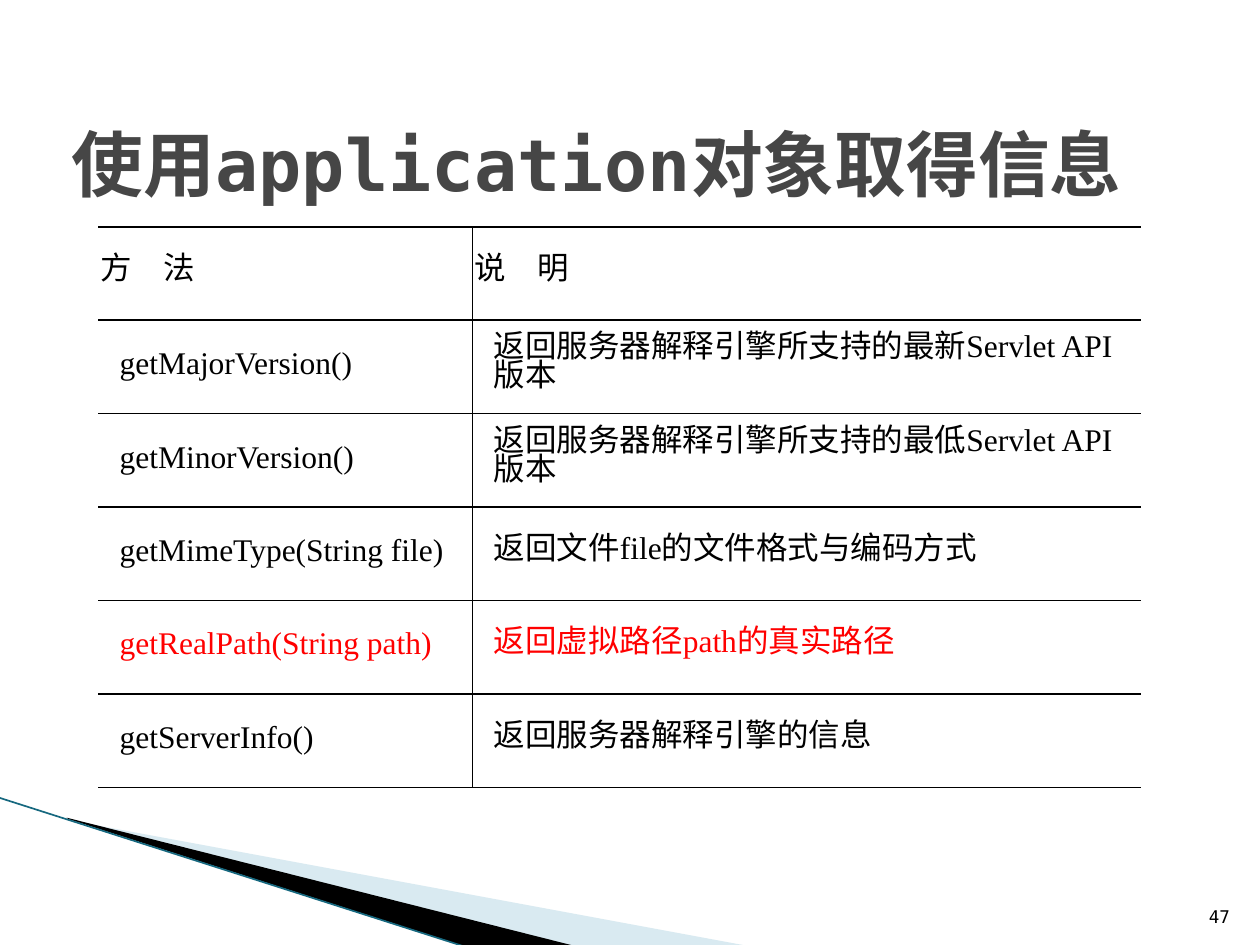
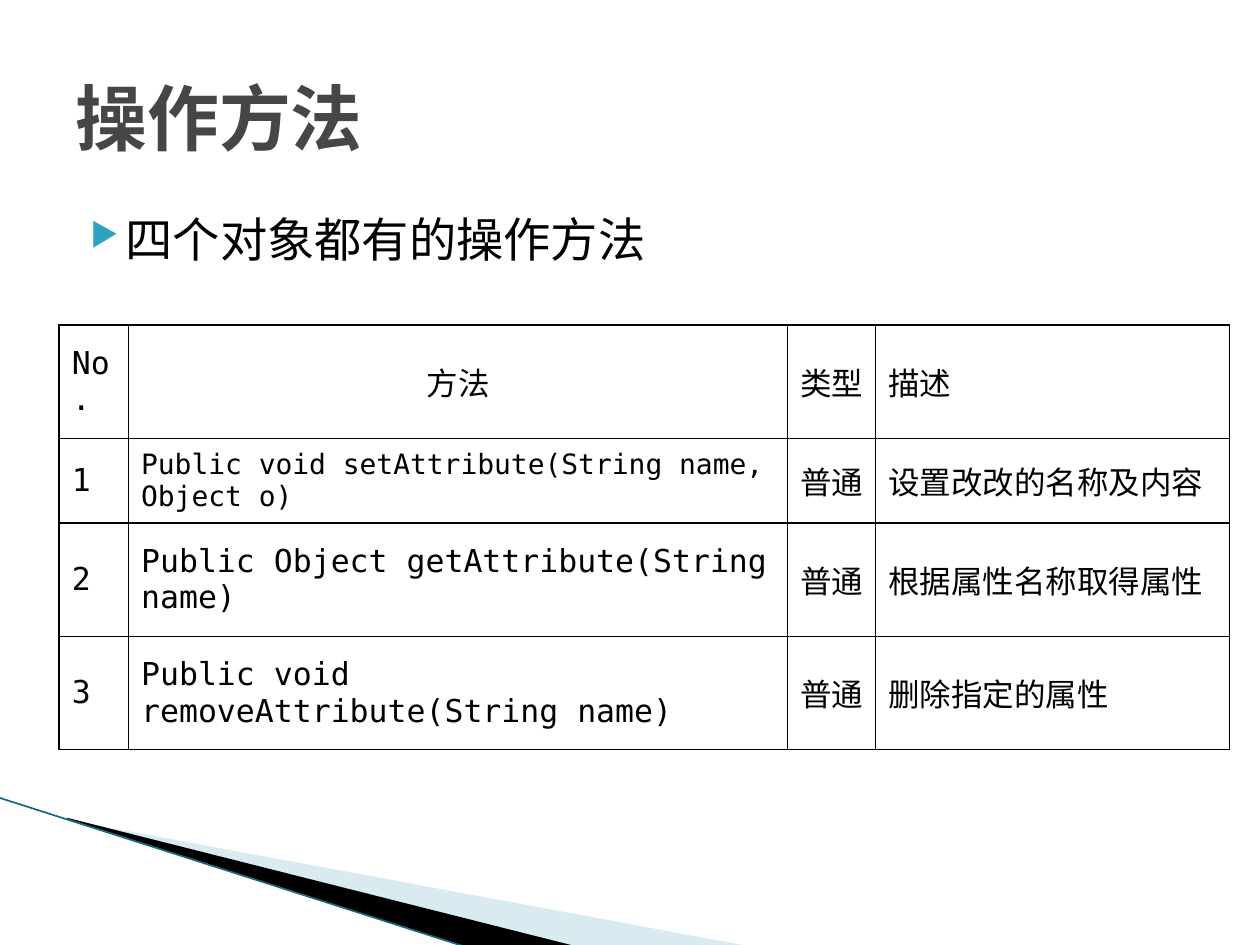
from lxml.etree import SubElement
from pptx import Presentation
from pptx.dml.color import RGBColor
from pptx.enum.shapes import MSO_CONNECTOR
from pptx.enum.text import MSO_ANCHOR, MSO_AUTO_SIZE, PP_ALIGN
from pptx.oxml.ns import qn
from pptx.util import Inches, Pt

# Content
INFO_TITLE = "使用application对象取得信息"
INFO_HEADER = ("方　法", "说　明")
INFO_METHODS = [
    ("getMajorVersion()", "返回服务器解释引擎所支持的最新Servlet API版本"),
    ("getMinorVersion()", "返回服务器解释引擎所支持的最低Servlet API版本"),
    ("getMimeType(String file)", "返回文件file的文件格式与编码方式"),
    ("getRealPath(String path)", "返回虚拟路径path的真实路径"),
    ("getServerInfo()", "返回服务器解释引擎的信息"),
]
KEY_METHOD = "getRealPath(String path)"
PAGE_NUMBER = "47"

ATTRIBUTE_TITLE = "操作方法"
ATTRIBUTE_POINT = "四个对象都有的操作方法"
ATTRIBUTE_HEADER = ("No.", "方法", "类型", "描述")
ATTRIBUTE_METHODS = [
    ("Public void setAttribute(String name, Object o)", "设置改改的名称及内容"),
    ("Public Object getAttribute(String name)", "根据属性名称取得属性"),
    ("Public void removeAttribute(String name)", "删除指定的属性"),
]
METHOD_TYPE = "普通"

# Shared look
COLORS = {"text": "000000", "title": "464646", "key": "FF0000", "bullet": "2DA2BF",
          "pale": "A0CBDC", "band": "000000", "edge": "16687F"}
MONO, SERIF, SANS = "DejaVu Sans Mono", "Times New Roman", "Arial"

# Corner bands: outline in hundredths of an inch, colour, opacity in percent
BANDS = [
    ([(55, 651), (595, 751), (456, 751), (55, 650)], "pale", 40),
    ([(53, 649), (457, 751), (372, 752), (54, 650)], "band", 100),
]
EDGE = (-0.01, 6.33, 3.71, 7.52)


def rgb(name):
    return RGBColor.from_string(COLORS[name])


def style(paragraph, size, font=MONO, color="text", bold=False):
    paragraph.font.size = Pt(size)
    paragraph.font.name = font
    paragraph.font.bold = bold
    paragraph.font.color.rgb = rgb(color)


def add_corner(slide):
    for outline, color, opacity in BANDS:
        builder = slide.shapes.build_freeform(*outline[0], scale=Inches(0.01))
        builder.add_line_segments(outline[1:], close=True)
        band = builder.convert_to_shape()
        band.shadow.inherit = False
        band.line.fill.background()
        band.fill.solid()
        band.fill.fore_color.rgb = rgb(color)
        if opacity < 100:
            tint = band.fill._xPr.find(".//" + qn("a:srgbClr"))
            SubElement(tint, qn("a:alpha"), val=str(opacity * 1000))
    edge = slide.shapes.add_connector(MSO_CONNECTOR.STRAIGHT, *map(Inches, EDGE))
    edge.line.color.rgb = rgb("edge")
    edge.line.width = Pt(0.95)
    SubElement(edge._element.spPr, qn("a:effectLst"))


def add_slide(deck, title, left, top, width):
    slide = deck.slides.add_slide(deck.slide_layouts[5])
    add_corner(slide)
    heading = slide.shapes.title
    heading.left, heading.top = Inches(left), Inches(top)
    heading.width, heading.height = Inches(width), Inches(1.25)
    frame = heading.text_frame
    frame.text = title
    frame.auto_size = MSO_AUTO_SIZE.NONE
    frame.vertical_anchor = MSO_ANCHOR.MIDDLE
    frame.paragraphs[0].alignment = PP_ALIGN.LEFT
    style(frame.paragraphs[0], 41, bold=True)
    frame.paragraphs[0].font.color.rgb = rgb("title")
    return slide


def add_text(slide, text, left, top, width, height):
    frame = slide.shapes.add_textbox(*map(Inches, (left, top, width, height))).text_frame
    frame.word_wrap = True
    frame.text = text
    return frame


def set_borders(cell, sides):
    properties = cell._tc.get_or_add_tcPr()
    for side in "LRTB":
        line = SubElement(properties, qn("a:ln" + side), w=str(Pt(1)))
        if side in sides:
            fill = SubElement(line, qn("a:solidFill"))
            SubElement(fill, qn("a:srgbClr"), val=COLORS["text"])
        else:
            SubElement(line, qn("a:noFill"))


def add_grid(slide, rows, left, top, widths, heights, outer_sides=True):
    """Add a plain ruled table and return it; the outer left and right rules are optional."""
    table = slide.shapes.add_table(len(rows), len(widths), Inches(left), Inches(top),
                                   Inches(sum(widths)), Inches(sum(heights))).table
    table.first_row = table.horz_banding = False
    for column, width in zip(table.columns, widths):
        column.width = Inches(width)
    for row, height in zip(table.rows, heights):
        row.height = Inches(height)
    for r, texts in enumerate(rows):
        for c, text in enumerate(texts):
            cell = table.cell(r, c)
            sides = "TB"
            if outer_sides or c > 0:
                sides += "L"
            if outer_sides or c < len(widths) - 1:
                sides += "R"
            set_borders(cell, sides)
            cell.fill.background()
            cell.vertical_anchor = MSO_ANCHOR.MIDDLE
            cell.text = text
    return table


def build_info_slide(deck):
    slide = add_slide(deck, INFO_TITLE, 0.47, 0.67, 9.53)
    rows = [INFO_HEADER] + INFO_METHODS
    table = add_grid(slide, rows, 0.78, 1.8, (2.97, 5.31), [4.45 / len(rows)] * len(rows),
                     outer_sides=False)
    for r, texts in enumerate(rows):
        for cell in table.rows[r].cells:
            cell.margin_left = cell.margin_right = Inches(0.02)
            cell.margin_top = cell.margin_bottom = 0
            paragraph = cell.text_frame.paragraphs[0]
            paragraph.line_spacing = Pt(16.6)
            if r > 0:
                paragraph._p.get_or_add_pPr().set("marL", str(Inches(0.15)))
            style(paragraph, 18, SERIF if r else SANS,
                  "key" if texts[0] == KEY_METHOD else "text")

    # Page number
    number = add_text(slide, PAGE_NUMBER, 9.46, 7.01, 0.4, 0.4)
    number.vertical_anchor = MSO_ANCHOR.BOTTOM
    number.paragraphs[0].alignment = PP_ALIGN.RIGHT
    style(number.paragraphs[0], 10)


def build_attribute_slide(deck):
    slide = add_slide(deck, ATTRIBUTE_TITLE, 0.5, 0.3, 9)

    # Bulleted point
    point = add_text(slide, ATTRIBUTE_POINT, 0.5, 1.62, 9, 0.7).paragraphs[0]
    properties = point._p.get_or_add_pPr()
    properties.set("marL", str(Inches(0.4)))
    properties.set("indent", str(Inches(-0.28)))
    bullet_color = SubElement(properties, qn("a:buClr"))
    SubElement(bullet_color, qn("a:srgbClr"), val=COLORS["bullet"])
    SubElement(properties, qn("a:buSzPct"), val="68000")
    SubElement(properties, qn("a:buChar"), char="▶")
    style(point, 27)

    # Method table
    rows = [ATTRIBUTE_HEADER] + [
        (str(n), method, METHOD_TYPE, description)
        for n, (method, description) in enumerate(ATTRIBUTE_METHODS, 1)]
    table = add_grid(slide, rows, 0.47, 2.58, (0.55, 5.23, 0.7, 2.81), (0.9, 0.67, 0.9, 0.9))
    for cell in table.iter_cells():
        style(cell.text_frame.paragraphs[0], 18)
    table.cell(0, 1).text_frame.paragraphs[0].alignment = PP_ALIGN.CENTER
    table.cell(1, 1).text_frame.paragraphs[0].font.size = Pt(16)


def main():
    deck = Presentation()
    deck.slide_width, deck.slide_height = Inches(10), Inches(7.5)
    build_info_slide(deck)
    build_attribute_slide(deck)
    deck.save("out.pptx")


if __name__ == "__main__":
    main()
